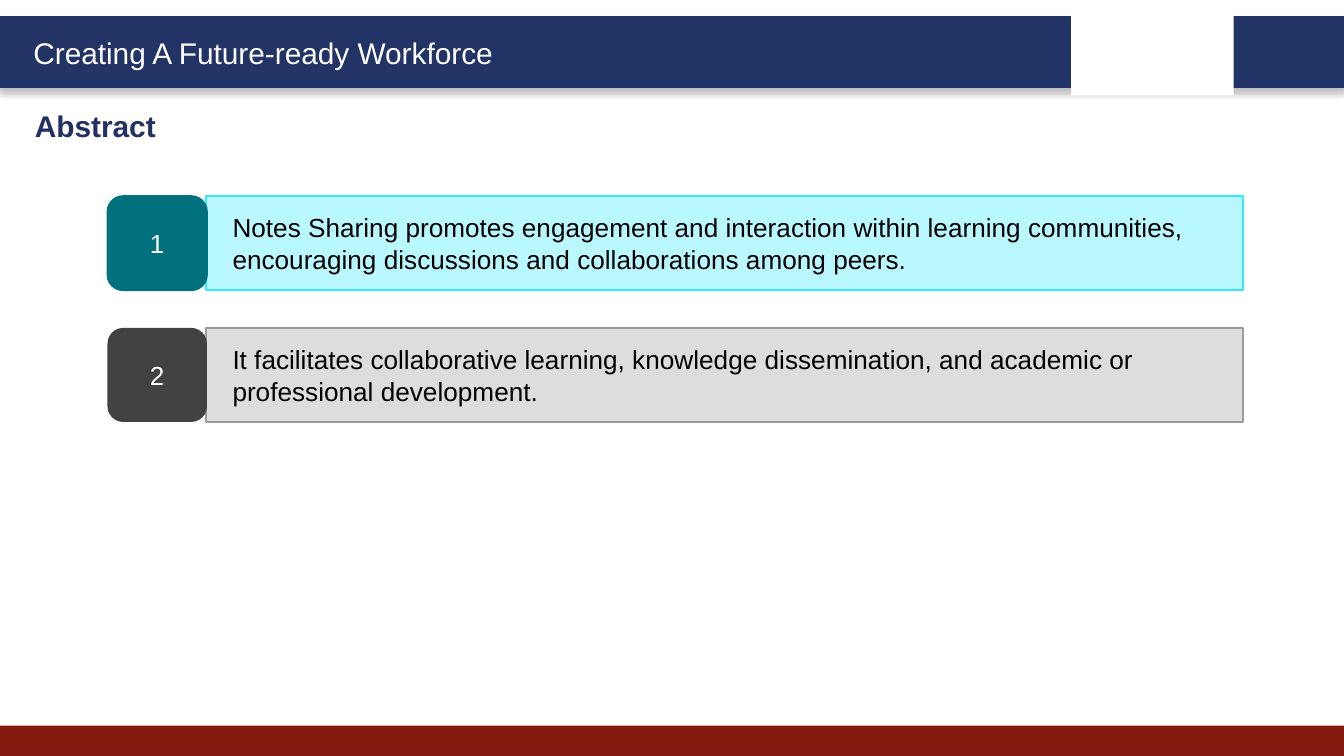
from dataclasses import dataclass
from typing import Optional

from lxml.etree import SubElement
from pptx import Presentation
from pptx.dml.color import RGBColor
from pptx.enum.shapes import MSO_SHAPE
from pptx.enum.text import MSO_ANCHOR, MSO_AUTO_SIZE, PP_ALIGN
from pptx.oxml.ns import qn
from pptx.shapes.autoshape import Shape
from pptx.slide import Slide
from pptx.util import Inches, Pt

NAVY, RED, WHITE, BLACK = "223366", "851910", "FFFFFF", "000000"
ROW_TOP, ROW_STEP, ROW_HEIGHT = 1.46, 0.98, 0.7


@dataclass
class Point:
    """One numbered statement and its colours."""
    text: str
    fill: str
    border: str
    badge_fill: str
    badge_border: Optional[str] = None


POINTS = [
    Point("Notes Sharing promotes engagement and interaction within learning communities, "
          "encouraging discussions and collaborations among peers.",
          "BAF8FF", "31EAFE", "00717D", "00717D"),
    Point("It facilitates collaborative learning, knowledge dissemination, "
          "and academic or professional development.",
          "DDDDDD", "9B9B9B", "424242"),
]


def color(value: str) -> RGBColor:
    """Turn a hex string into a colour."""
    return RGBColor.from_string(value)


def write(box: Shape, text: str, *, size: float = 14, ink: str = BLACK, bold: bool = False,
          align: PP_ALIGN = PP_ALIGN.LEFT, anchor: MSO_ANCHOR = MSO_ANCHOR.MIDDLE,
          indent: float = 0) -> None:
    """Put one formatted paragraph into a shape."""
    frame = box.text_frame
    frame.word_wrap = True
    frame.auto_size = MSO_AUTO_SIZE.NONE
    frame.vertical_anchor = anchor
    frame.margin_left = Inches(0.1 + indent)
    para = frame.paragraphs[0]
    para.alignment = align
    span = para.add_run()
    span.text = text
    span.font.name = "Arial"
    span.font.size = Pt(size)
    span.font.bold = bold
    span.font.color.rgb = color(ink)


def add_box(page: Slide, left: float, top: float, width: float, height: float, fill: str,
            border: Optional[str] = None, weight: float = 1,
            kind: MSO_SHAPE = MSO_SHAPE.RECTANGLE) -> Shape:
    """Draw a filled shape with an optional border."""
    box = page.shapes.add_shape(kind, Inches(left), Inches(top), Inches(width), Inches(height))
    box.shadow.inherit = False
    box.fill.solid()
    box.fill.fore_color.rgb = color(fill)
    if border:
        box.line.color.rgb = color(border)
        box.line.width = Pt(weight)
    else:
        box.line.fill.background()
    return box


def add_shadow(box: Shape) -> None:
    """Cast a soft shadow straight down."""
    effects = box.element.spPr.find(qn("a:effectLst"))
    shadow = SubElement(effects, qn("a:outerShdw"), blurRad=str(Pt(4)), dist=str(Pt(3)),
                        dir="5400000", algn="t", rotWithShape="0")
    tint = SubElement(shadow, qn("a:srgbClr"), val=BLACK)
    SubElement(tint, qn("a:alpha"), val="25000")


def add_frame(page: Slide) -> None:
    """Draw the header and footer bands."""
    header = add_box(page, 0, 0.13, 10, 0.51, NAVY, NAVY, 2)
    add_shadow(header)
    add_box(page, 0, 5.4, 10, 0.23, RED)
    add_box(page, 7.97, 0.07, 1.21, 0.64, WHITE)
    banner = page.shapes.add_textbox(Inches(0.15), Inches(0.21), Inches(3.78), Inches(0.37))
    write(banner, "Creating A Future-ready Workforce", size=16, ink=WHITE, anchor=MSO_ANCHOR.TOP)


def add_title(page: Slide, text: str) -> None:
    """Place the slide title under the header."""
    title = page.shapes.title
    title.left, title.top = Inches(0.16), Inches(0.75)
    title.width, title.height = Inches(4.84), Inches(0.37)
    write(title, text, size=16, ink="213163", bold=True, anchor=MSO_ANCHOR.TOP)


def add_point(page: Slide, number: int, point: Point) -> None:
    """Draw a statement with its number badge."""
    top = ROW_TOP + (number - 1) * ROW_STEP
    panel = add_box(page, 1.53, top, 7.72, ROW_HEIGHT, point.fill, point.border)
    write(panel, point.text, indent=0.1)
    badge = add_box(page, 0.8, top, 0.74, ROW_HEIGHT, point.badge_fill, point.badge_border,
                    kind=MSO_SHAPE.ROUNDED_RECTANGLE)
    write(badge, str(number), ink=WHITE, align=PP_ALIGN.CENTER)


def main() -> None:
    """Build and save the deck."""
    deck = Presentation()
    deck.slide_width = Inches(10)
    deck.slide_height = deck.slide_width * 9 // 16
    page = deck.slides.add_slide(deck.slide_layouts[5])
    add_frame(page)
    add_title(page, "Abstract")
    for number, point in enumerate(POINTS, start=1):
        add_point(page, number, point)
    deck.save("out.pptx")


if __name__ == "__main__":
    main()
